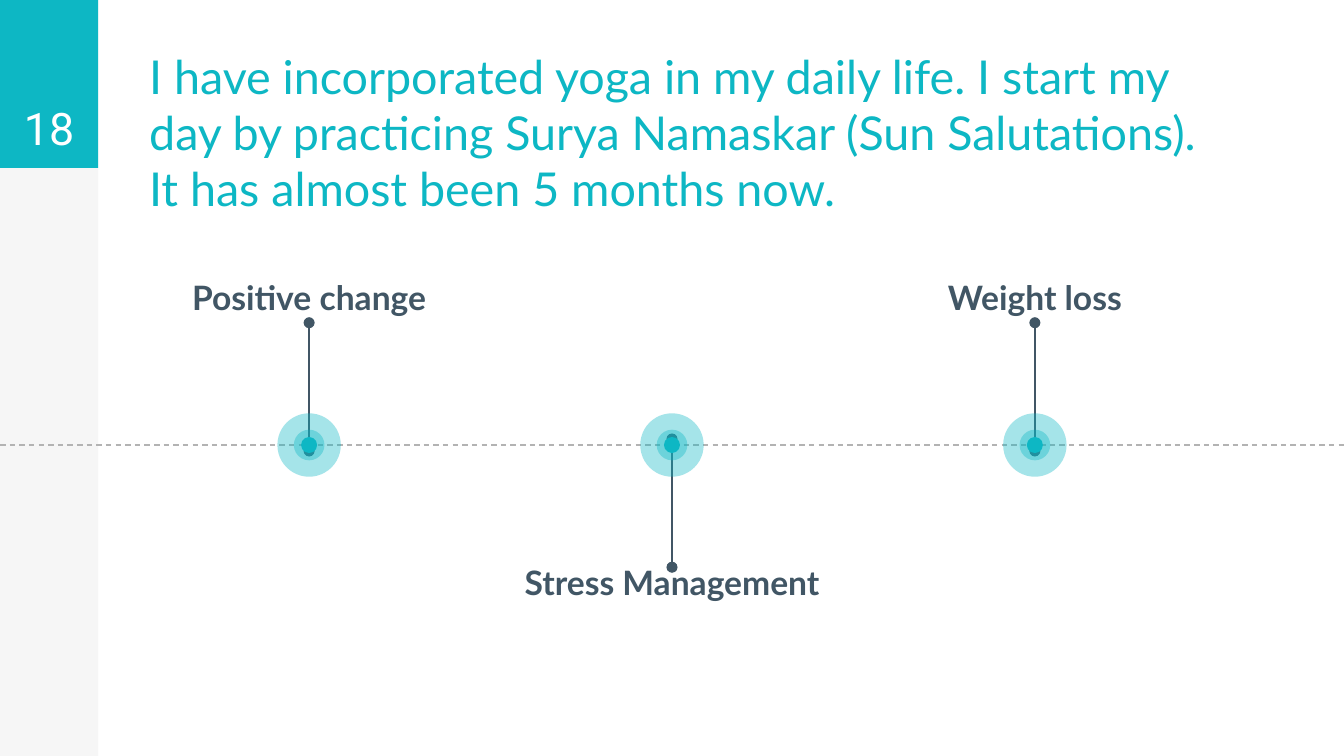
from lxml import etree
from pptx import Presentation
from pptx.dml.color import RGBColor
from pptx.enum.dml import MSO_LINE
from pptx.enum.shapes import MSO_CONNECTOR, MSO_SHAPE
from pptx.enum.text import MSO_ANCHOR, MSO_AUTO_SIZE, PP_ALIGN
from pptx.oxml.ns import qn
from pptx.util import Pt

RECT, OVAL = MSO_SHAPE.RECTANGLE, MSO_SHAPE.OVAL
STRAIGHT, DASH = MSO_CONNECTOR.STRAIGHT, MSO_LINE.DASH
LEFT, CENTER = PP_ALIGN.LEFT, PP_ALIGN.CENTER
TOP, BOTTOM = MSO_ANCHOR.TOP, MSO_ANCHOR.BOTTOM

WIDTH, HEIGHT = 720, 405
TEAL, SLATE, PALE, GREY, WHITE = "0DB7C4", "415665", "F6F6F6", "B3B3B3", "FFFFFF"
INSET = 7.2
AXIS_Y = 238.4
STOPS = [
    ("Positive change", 165.6, 178, True),
    ("Stress Management", 360, 218, False),
    ("Weight loss", 554.4, 161, True),
]
RINGS = [(34, 37), (16.4, 37), (8.6, 100)]


def color(hex_text):
    return RGBColor.from_string(hex_text)


def add_filled(shapes, kind, x, y, w, h, fill, alpha=100):
    sp = shapes.add_shape(kind, Pt(x), Pt(y), Pt(w), Pt(h))
    sp.shadow.inherit = False
    sp.fill.solid()
    sp.fill.fore_color.rgb = color(fill)
    sp.line.fill.background()
    if alpha < 100:
        clr = sp.fill._xPr.find(qn("a:solidFill"))[0]
        etree.SubElement(clr, qn("a:alpha"), val=str(alpha * 1000))
    return sp


def add_line(s, x1, y1, x2, y2, stroke, dash=None, oval_ends=False):
    line = s.shapes.add_connector(STRAIGHT, Pt(x1), Pt(y1), Pt(x2), Pt(y2))
    line.line.color.rgb = color(stroke)
    line.line.width = Pt(0.75)
    if dash:
        line.line.dash_style = dash
    if oval_ends:
        ln = line.line._get_or_add_ln()
        for end in ("a:headEnd", "a:tailEnd"):
            etree.SubElement(ln, qn(end), type="oval")
    etree.SubElement(line._element.spPr, qn("a:effectLst"))


def set_text(sp, text, size, font, fill, align=CENTER, anchor=TOP, bold=False):
    tf = sp.text_frame
    tf.text = text
    tf.word_wrap = True
    tf.auto_size = MSO_AUTO_SIZE.NONE
    tf.vertical_anchor = anchor
    tf.margin_left = tf.margin_right = tf.margin_top = tf.margin_bottom = Pt(INSET)
    p = tf.paragraphs[0]
    p.alignment = align
    p.font.size = Pt(size)
    p.font.name = font
    p.font.bold = bold
    p.font.color.rgb = color(fill)


def add_sidebar(s, x, y, w, h, number):
    add_filled(s.shapes, RECT, x, y, w, h, PALE)
    tab = add_filled(s.shapes, RECT, x, y, w, 90, TEAL)
    set_text(tab, number, 24, "Roboto", WHITE, anchor=BOTTOM)


def place_title(s, x, y, w, h, text):
    sp = s.shapes.title
    sp.left, sp.top, sp.width, sp.height = Pt(x), Pt(y), Pt(w), Pt(h)
    set_text(sp, text, 25, "Lato", TEAL, align=LEFT, anchor=BOTTOM)
    sp.text_frame.margin_bottom = Pt(38.4)


def add_marker(s, x, y):
    group = s.shapes.add_group_shape()
    for size, alpha in RINGS:
        add_filled(group.shapes, OVAL, x - size / 2, y - size / 2, size, size, TEAL, alpha)


def add_timeline(s, x, y, w):
    add_line(s, x, y, x + w, y, GREY, dash=DASH)
    for label, stop_x, label_w, above in STOPS:
        way = -1 if above else 1
        add_line(s, stop_x, y - 3.2 * way, stop_x, y + 65.5 * way, SLATE, oval_ends=True)
        label_y = y - 97.3 if above else y + 55.4
        tb = s.shapes.add_textbox(Pt(stop_x - label_w / 2), Pt(label_y), Pt(label_w), Pt(32.4))
        set_text(tb, label, 18, "Lato", SLATE, bold=True)
    for _, stop_x, _, _ in STOPS:
        add_marker(s, stop_x, y)


def main():
    prs = Presentation()
    prs.slide_width, prs.slide_height = Pt(WIDTH), Pt(HEIGHT)
    s = prs.slides.add_slide(prs.slide_layouts[5])
    add_sidebar(s, 0, 0, 52.6, HEIGHT, "18")
    add_timeline(s, 0, AXIS_Y, WIDTH)
    place_title(
        s, 72.7, 43.9, 575.3, 110.2,
        "I have incorporated yoga in my daily life. I start my day by practicing "
        "Surya Namaskar (Sun Salutations). It has almost been 5 months now.",
    )
    prs.save("out.pptx")


if __name__ == "__main__":
    main()
